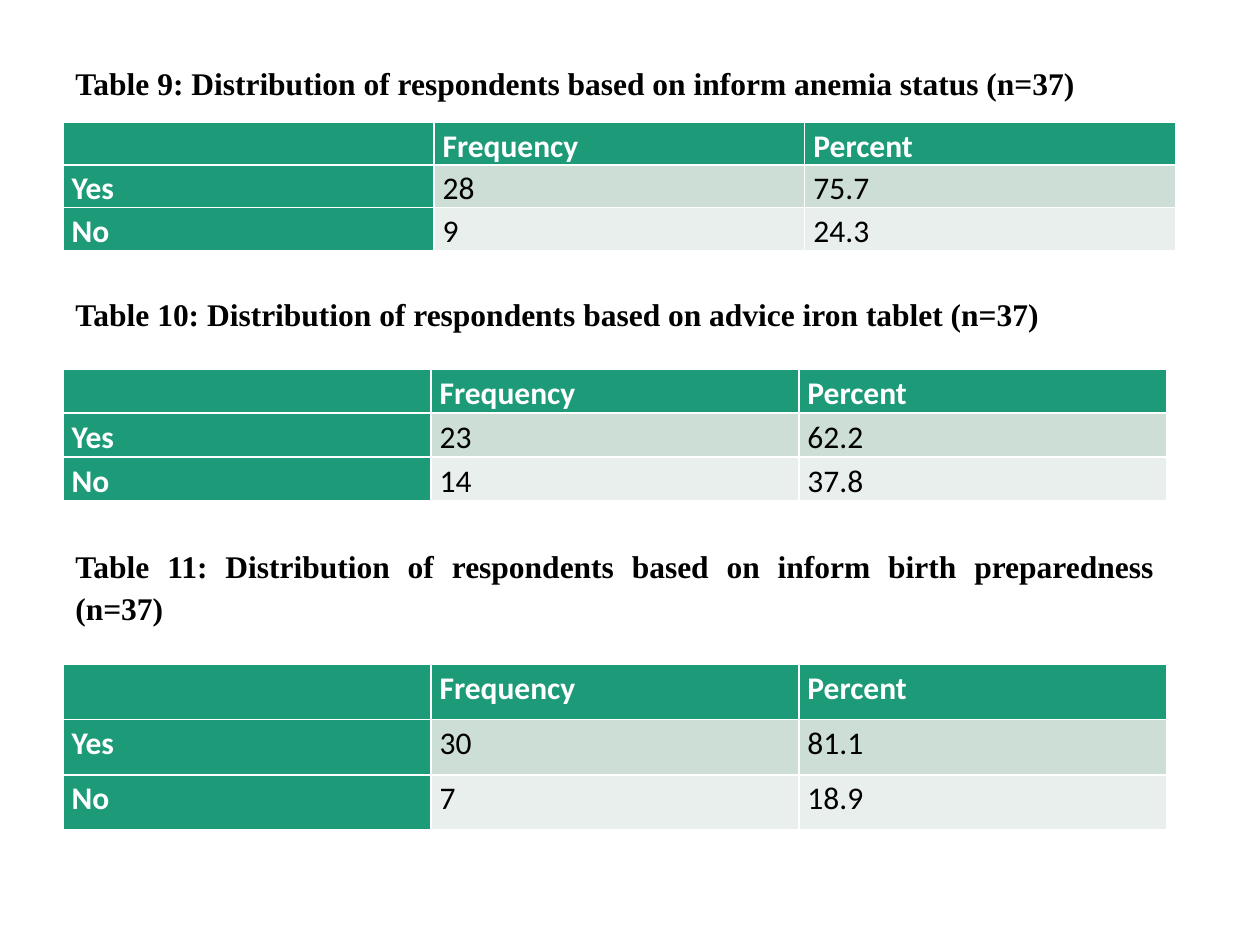
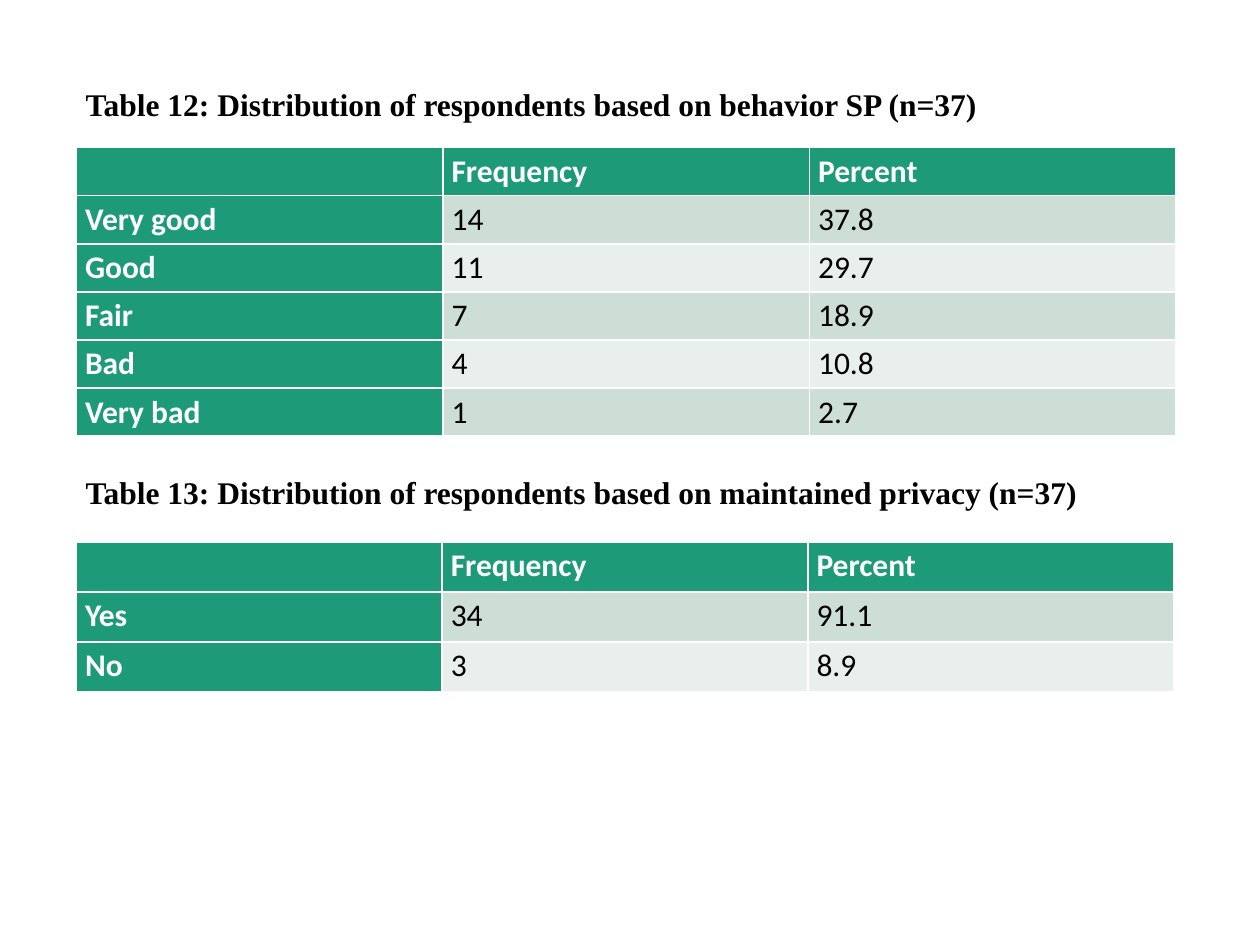
from dataclasses import dataclass

from pptx import Presentation
from pptx.dml.color import RGBColor
from pptx.enum.text import MSO_AUTO_SIZE, PP_ALIGN
from pptx.util import Pt

JUSTIFY = PP_ALIGN.JUSTIFY
FIT_SHAPE = MSO_AUTO_SIZE.SHAPE_TO_FIT_TEXT

COLORS = {
    "header": "1D9A78",
    "band_dark": "CDDED6",
    "band_light": "E8EFEC",
    "light_text": "FFFFFF",
    "dark_text": "000000",
}
CAPTION_FONT = "Times New Roman"
TABLE_FONT = "Calibri"
FONT_SIZE = 18
CELL_MARGIN = 5
HEADINGS = ("", "Frequency", "Percent")
BLANK_LAYOUT = 6


@dataclass
class FrequencyBlock:
    caption: str
    rows: list
    top: float
    width: float
    table_offset: float
    row_height: float
    caption_height: float = 30.2


FIRST_SLIDE = [
    FrequencyBlock(
        "Table 9: Distribution of respondents based on inform anemia status (n=37)",
        [("Yes", "28", "75.7"), ("No", "9", "24.3")],
        top=30.2, width=635.8, table_offset=39.6, row_height=24.2,
    ),
    FrequencyBlock(
        "Table 10: Distribution of respondents based on advice iron tablet (n=37)",
        [("Yes", "23", "62.2"), ("No", "14", "37.8")],
        top=162, width=630.7, table_offset=49, row_height=25.1,
    ),
    FrequencyBlock(
        "Table 11: Distribution of respondents based on inform birth preparedness (n=37)",
        [("Yes", "30", "81.1"), ("No", "7", "18.9")],
        top=306, width=630.7, table_offset=73.6, row_height=31.6, caption_height=54.7,
    ),
]
SECOND_SLIDE = [
    FrequencyBlock(
        "Table 12: Distribution of respondents based on behavior SP (n=37)",
        [
            ("Very good", "14", "37.8"),
            ("Good", "11", "29.7"),
            ("Fair", "7", "18.9"),
            ("Bad", "4", "10.8"),
            ("Very bad", "1", "2.7"),
        ],
        top=42.5, width=628.4, table_offset=41.8, row_height=27.5,
    ),
    FrequencyBlock(
        "Table 13: Distribution of respondents based on maintained privacy (n=37)",
        [("Yes", "34", "91.1"), ("No", "3", "8.9")],
        top=264.2, width=627, table_offset=45.4, row_height=28.6,
    ),
]


def color(name):
    return RGBColor.from_string(COLORS[name])


def format_paragraph(paragraph, font_name, color_name, bold):
    paragraph.alignment = JUSTIFY
    paragraph.line_spacing = 1.13
    paragraph.space_after = Pt(13.8)
    paragraph.font.name = font_name
    paragraph.font.size = Pt(FONT_SIZE)
    paragraph.font.bold = bold
    paragraph.font.color.rgb = color(color_name)


def add_caption(slide, text, left, top, width, height):
    text_frame = slide.shapes.add_textbox(Pt(left), Pt(top), Pt(width), Pt(height)).text_frame
    text_frame.word_wrap = True
    text_frame.auto_size = FIT_SHAPE
    text_frame.text = text
    format_paragraph(text_frame.paragraphs[0], CAPTION_FONT, "dark_text", True)


def fill_cell(cell, text, row_index, column_index):
    is_heading = row_index == 0 or column_index == 0
    band = "band_dark" if row_index % 2 else "band_light"
    cell.fill.solid()
    cell.fill.fore_color.rgb = color("header" if is_heading else band)
    cell.margin_left = cell.margin_right = Pt(CELL_MARGIN)
    cell.margin_top = cell.margin_bottom = 0
    cell.text = text
    text_color = "light_text" if is_heading else "dark_text"
    format_paragraph(cell.text_frame.paragraphs[0], TABLE_FONT, text_color, is_heading)


def add_frequency_table(slide, rows, left, top, width, row_height):
    table_rows = [HEADINGS, *rows]
    table = slide.shapes.add_table(
        len(table_rows), len(HEADINGS),
        Pt(left), Pt(top), Pt(width), Pt(row_height * len(table_rows)),
    ).table
    table.first_col = True
    for row_index, values in enumerate(table_rows):
        table.rows[row_index].height = Pt(row_height)
        for column_index, value in enumerate(values):
            fill_cell(table.cell(row_index, column_index), value, row_index, column_index)


def add_tables_slide(presentation, blocks, caption_left, table_left):
    slide = presentation.slides.add_slide(presentation.slide_layouts[BLANK_LAYOUT])
    for block in blocks:
        add_caption(
            slide, block.caption, caption_left, block.top, block.width, block.caption_height
        )
        add_frequency_table(
            slide, block.rows, table_left, block.top + block.table_offset,
            block.width, block.row_height,
        )


def main():
    presentation = Presentation()
    presentation.slide_width = Pt(720)
    presentation.slide_height = Pt(540)
    add_tables_slide(presentation, FIRST_SLIDE, caption_left=36, table_left=36)
    add_tables_slide(presentation, SECOND_SLIDE, caption_left=41.8, table_left=43.6)
    presentation.save("out.pptx")


if __name__ == "__main__":
    main()
